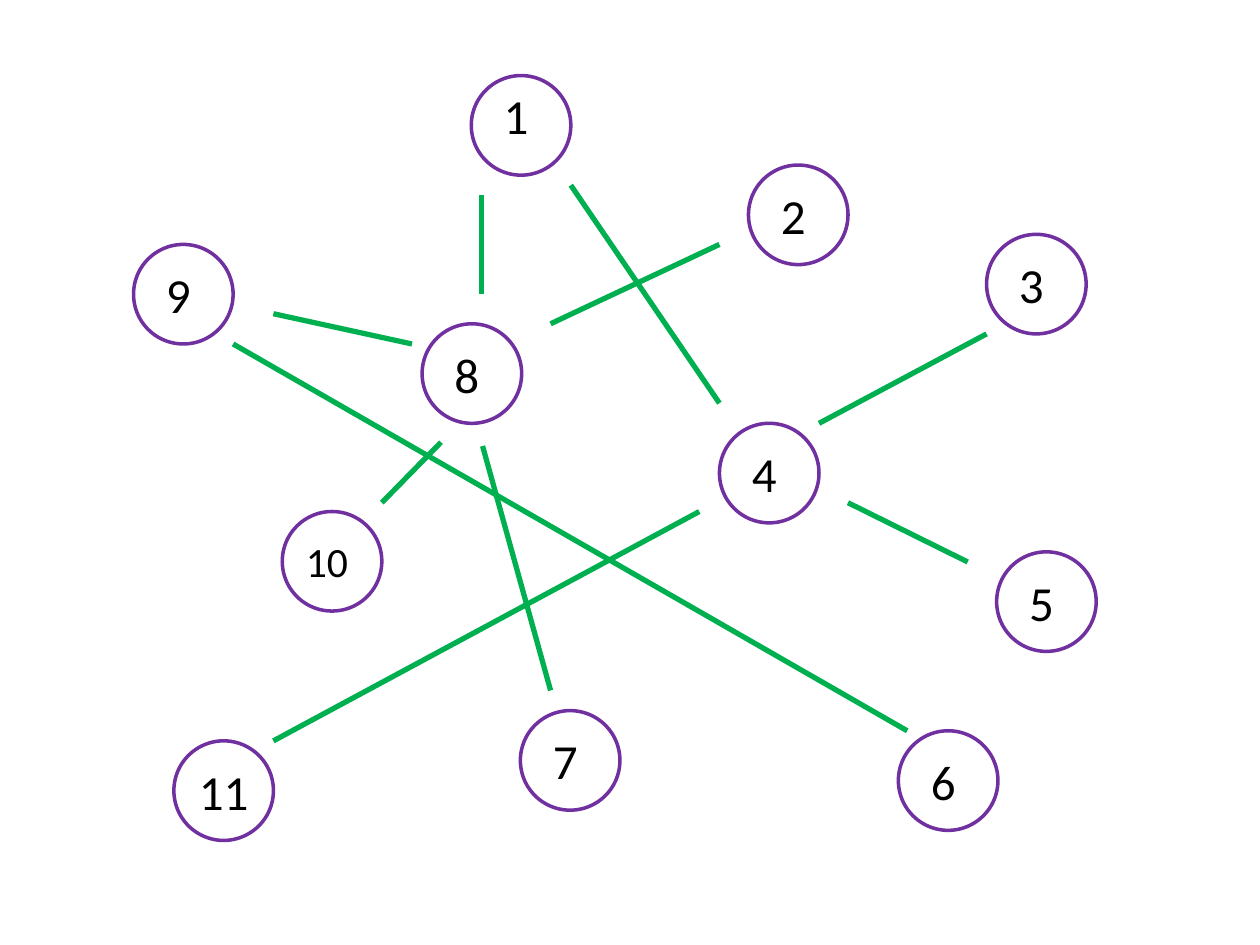
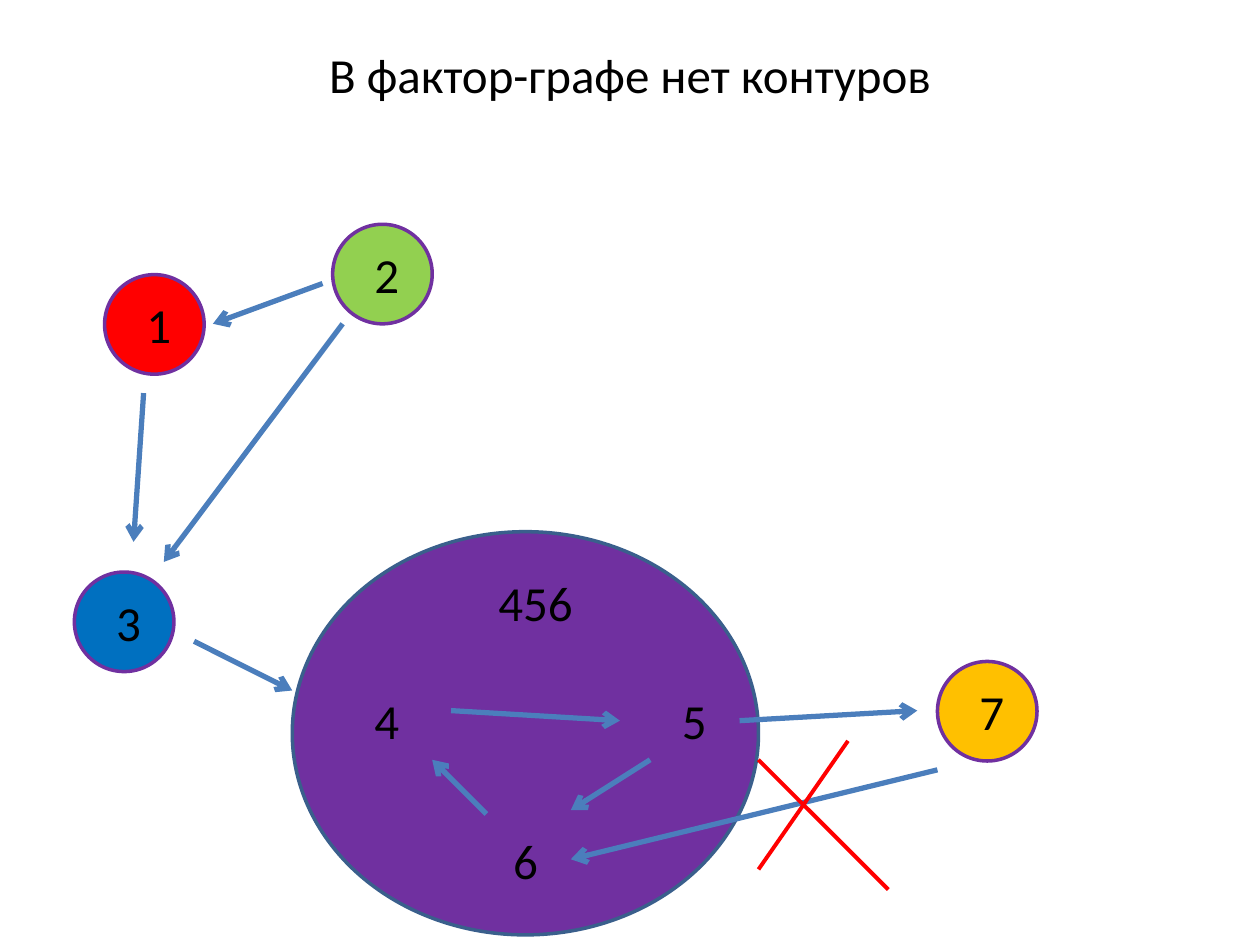
from pptx import Presentation
from pptx.dml.color import RGBColor
from pptx.enum.shapes import MSO_CONNECTOR, MSO_SHAPE
from pptx.enum.text import MSO_ANCHOR, PP_ALIGN
from pptx.oxml.ns import qn
from pptx.util import Inches, Pt
from lxml import etree

OVAL = MSO_SHAPE.OVAL
STRAIGHT = MSO_CONNECTOR.STRAIGHT
MIDDLE = MSO_ANCHOR.MIDDLE
CENTER = PP_ALIGN.CENTER

THEME = {
    "font": "Calibri", "size": 28, "small": 23.8, "text": "000000",
    "paper": "FFFFFF", "violet": "7030A0", "group_line": "3A5F8C",
    "edge": "00B050", "arrow": "4B7EBC", "cross": "FF0000",
    "red": "FF0000", "green": "92D050", "blue": "0070C0", "amber": "FFC000",
    "outline": 2, "edge_width": 3, "cross_width": 2.25,
}

# Grid: 100 columns by 75 rows of square cells
COLS, ROWS = 100, 75
CELL = Inches(10) / COLS
NODE = 7.9            # node diameter
LABEL_W, LABEL_H = 3.9, 6.3

prs = Presentation()
prs.slide_width, prs.slide_height = int(COLS * CELL), int(ROWS * CELL)


def grid(*cells):
    return [round(c * CELL) for c in cells]


def add_text(s, text, x, y, w=LABEL_W, h=LABEL_H, size=THEME["size"], align=CENTER):
    tf = s.shapes.add_textbox(*grid(x, y, w, h)).text_frame
    tf.margin_left = tf.margin_right = tf.margin_top = tf.margin_bottom = 0
    tf.word_wrap = True
    tf.vertical_anchor = MIDDLE
    p = tf.paragraphs[0]
    p.alignment = align
    r = p.add_run()
    r.text = text
    r.font.name, r.font.size = THEME["font"], Pt(size)
    r.font.color.rgb = RGBColor.from_string(THEME["text"])


graph, factor = [prs.slides.add_slide(prs.slide_layouts[6]) for _ in range(2)]

# Title of the factor graph
add_text(factor, "В фактор-графе нет контуров", 0, 0, COLS, 11.8)

# Nodes: column, row, fill
graph_nodes = {
    "1": (37.4, 6, "paper"), "2": (59.4, 13.1, "paper"), "3": (78.3, 18.6, "paper"),
    "4": (57.1, 33.6, "paper"), "5": (79.1, 43.8, "paper"), "6": (71.3, 58, "paper"),
    "7": (41.3, 56.4, "paper"), "8": (33.5, 25.7, "paper"), "9": (10.6, 19.4, "paper"),
    "10": (22.4, 40.6, "paper"), "11": (13.8, 58.8, "paper"),
}
factor_nodes = {
    "1": (8.3, 21.8, "red"), "2": (26.4, 17.8, "green"), "3": (5.9, 45.4, "blue"),
    "4": (26.4, 53.2, "violet"), "5": (50.8, 53.2, "violet"),
    "6": (37.4, 64.3, "violet"), "7": (74.4, 52.5, "amber"),
}
ovals = [(factor, 23.2, 42.2, 37, 32, "violet", "group_line")]
for s, nodes in ((graph, graph_nodes), (factor, factor_nodes)):
    ovals += [(s, x, y, NODE, NODE, fill, "violet") for x, y, fill in nodes.values()]

for s, x, y, w, h, fill, line in ovals:
    sp = s.shapes.add_shape(OVAL, *grid(x, y, w, h))
    sp.shadow.inherit = False
    sp.fill.solid()
    sp.fill.fore_color.rgb = RGBColor.from_string(THEME[fill])
    sp.line.color.rgb = RGBColor.from_string(THEME[line])
    sp.line.width = Pt(THEME["outline"])

# Labels sit at a fixed offset inside their nodes, with a few exceptions
graph_special = {
    "1": {"dy": 0},
    "10": {"dx": 0.8, "w": 5.5, "size": THEME["small"]},
    "11": {"dx": 0.8, "w": 6.3},
}
for s, nodes, offset, special in (
    (graph, graph_nodes, 1.6, graph_special),
    (factor, factor_nodes, 2.35, {}),
):
    for text, (x, y, _) in nodes.items():
        fmt = {"dx": offset, "dy": 0.8, **special.get(text, {})}
        add_text(s, text, x + fmt.pop("dx"), y + fmt.pop("dy"), **fmt)
add_text(factor, "456", 37.4, 44.6, w=10.2)

# Edges: start column, start row, end column, end row
graph_edges = [
    (57.1, 32, 45.3, 14.7), (72, 58, 18.5, 27.3), (38.3, 35.4, 43.7, 54.8),
    (65, 33.6, 78.3, 26.5), (43.7, 25.7, 57.1, 19.4), (76.8, 44.6, 67.3, 39.9),
    (55.5, 40.6, 21.7, 58.8), (21.7, 24.9, 32.7, 27.3), (38.2, 15.5, 38.2, 23.3),
    (30.3, 39.9, 35, 35.1),
]
factor_arrows = [
    (25.6, 22.5, 16.9, 25.7), (11.4, 31.2, 10.6, 43), (27.2, 25.7, 13, 44.6),
    (15.4, 50.9, 23.2, 54.8), (35.8, 56.4, 49.2, 57.2), (51.6, 60.3, 45.3, 64.3),
    (38.6, 64.6, 34.3, 60.3), (58.7, 57.2, 72.8, 56.4), (74.4, 61.1, 45.3, 68.2),
]
cross = [(70.5, 70.6, 60.2, 60.3), (67.3, 58.8, 60.2, 69)]

for s, lines, colour, width, arrow in (
    (graph, graph_edges, "edge", "edge_width", False),
    (factor, factor_arrows, "arrow", "edge_width", True),
    (factor, cross, "cross", "cross_width", False),
):
    for ends in lines:
        cn = s.shapes.add_connector(STRAIGHT, *grid(*ends))
        cn.line.color.rgb = RGBColor.from_string(THEME[colour])
        cn.line.width = Pt(THEME[width])
        spPr = cn.element.spPr
        if arrow:
            etree.SubElement(spPr.find(qn("a:ln")), qn("a:tailEnd"), type="arrow")
        etree.SubElement(spPr, qn("a:effectLst"))

prs.save("out.pptx")
